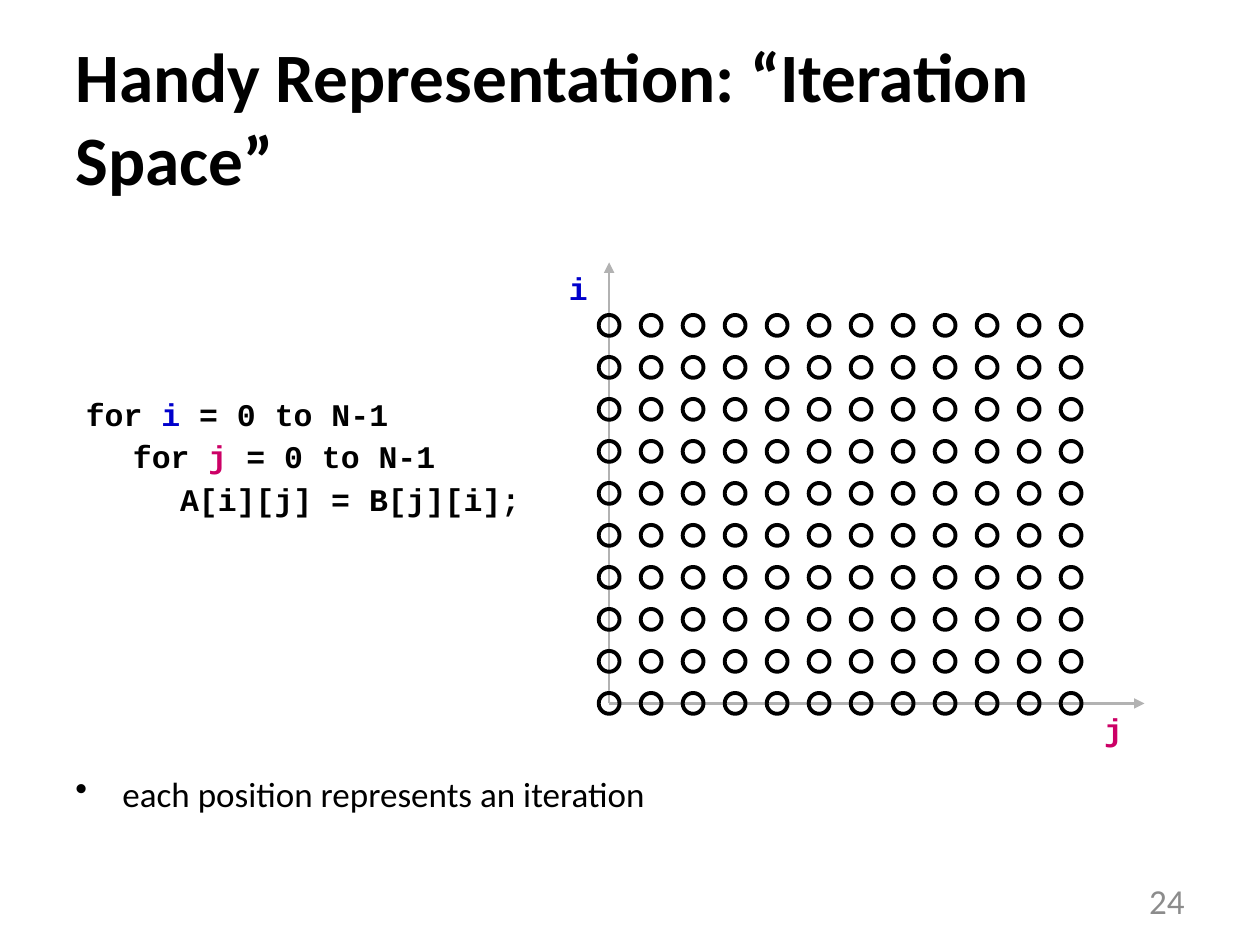
"""Build a slide that explains the iteration space of a nested loop."""
from lxml import etree
from pptx import Presentation
from pptx import util as u
from pptx.dml.color import RGBColor
from pptx.enum import shapes, text
from pptx.oxml import ns

COLORS = {"ink": "000000", "axis": "B2B2B2", "i": "0000CC", "j": "CC0066", "number": "8C8C8C"}
STEP = 2.54 / 3
ORIGIN_X, ORIGIN_Y = 12.28, 14.18
COLUMNS, ROWS = 12, 10
DIAMETER = 0.42


def rgb(name):
    """Return the named colour."""
    return RGBColor.from_string(COLORS[name])


def add_element(parent, tag, **attributes):
    """Append a DrawingML element and return it."""
    return etree.SubElement(parent, ns.qn(tag), attributes)


def style_span(span, size, color="ink", font="Calibri", bold=False):
    """Set the font of one run."""
    span.font.name, span.font.size, span.font.bold = font, u.Pt(size), bold
    span.font.color.rgb = rgb(color)


def add_box(parent, left, top, width, height, anchor=text.MSO_ANCHOR.TOP):
    """Add a wrapping text box."""
    box = parent.add_textbox(u.Cm(left), u.Cm(top), u.Cm(width), u.Cm(height))
    box.text_frame.word_wrap = True
    box.text_frame.vertical_anchor = anchor
    return box


def add_line_of_text(parent, words, place, size, anchor=text.MSO_ANCHOR.TOP, **style):
    """Add a text box with one paragraph and return that paragraph."""
    para = add_box(parent, *place, anchor).text_frame.paragraphs[0]
    para.text = words
    style_span(para.runs[0], size, **style)
    return para


def set_space_before(para, percent):
    """Set the space before a paragraph as a percentage and return its properties."""
    properties = para._p.get_or_add_pPr()
    spacing = add_element(properties, "a:spcBef")
    add_element(spacing, "a:spcPct", val=str(percent * 1000))
    return properties


def add_bullet(para):
    """Turn a paragraph into a bulleted one."""
    properties = set_space_before(para, 20)
    properties.set("marL", str(u.Cm(0.95)))
    properties.set("indent", str(u.Cm(-0.95)))
    add_element(properties, "a:buChar", char="•")


def add_code(parent, lines, place):
    """Add lines of code, each a list of (words, colour) pairs."""
    frame = add_box(parent, *place).text_frame
    frame.auto_size = text.MSO_AUTO_SIZE.SHAPE_TO_FIT_TEXT
    frame.text = "\n".join("" for _ in lines)
    for para, spans in zip(frame.paragraphs, lines):
        para.line_spacing = 0.7
        tabs = add_element(set_space_before(para, 50), "a:tabLst")
        for position in (0.95, 1.9):
            add_element(tabs, "a:tab", pos=str(u.Cm(position)), algn="l")
        for words, color in spans:
            span = para.add_run()
            span.text = words
            style_span(span, 18, color, "Courier New", True)


def add_axis(parent, end_x, end_y):
    """Add an arrow from the origin."""
    axis = parent.add_connector(shapes.MSO_CONNECTOR.STRAIGHT, u.Cm(ORIGIN_X), u.Cm(ORIGIN_Y),
                                u.Cm(end_x), u.Cm(end_y))
    axis.line.color.rgb = rgb("axis")
    axis.line.width = u.Pt(1.5)
    properties = axis._element.spPr
    add_element(properties.find(ns.qn("a:ln")), "a:tailEnd", type="triangle")
    add_element(properties, "a:effectLst")


def add_iteration(parent, column, row):
    """Add the circle of one iteration."""
    circle = parent.add_shape(shapes.MSO_SHAPE.OVAL,
                              u.Cm(ORIGIN_X + column * STEP - DIAMETER / 2),
                              u.Cm(ORIGIN_Y - row * STEP - DIAMETER / 2),
                              u.Cm(DIAMETER), u.Cm(DIAMETER))
    circle.shadow.inherit = False
    circle.fill.background()
    circle.line.color.rgb = rgb("ink")
    circle.line.width = u.Pt(2.25)


def add_iteration_space(page):
    """Add the axes, their labels and the grid of iterations as a group."""
    space = page.shapes.add_group_shape().shapes
    add_axis(space, ORIGIN_X, 5.29)
    add_axis(space, 23.07, ORIGIN_Y)
    add_code(space, [[("i", "i")]], (11.22, 5.5, 0.85, 0.79))
    add_code(space, [[("j", "j")]], (22.01, 14.39, 0.85, 0.79))
    for row in range(ROWS):
        for column in range(COLUMNS):
            add_iteration(space, column, row)


def main():
    """Build and save the slide."""
    deck = Presentation()
    deck.slide_width, deck.slide_height = u.Cm(25.4), u.Cm(19.05)
    page = deck.slides.add_slide(deck.slide_layouts[6])
    middle = text.MSO_ANCHOR.MIDDLE
    add_line_of_text(page.shapes, "Handy Representation: “Iteration Space”",
                     (1.27, 0.76, 22.86, 3.18), 39.6, middle, bold=True)
    add_bullet(add_line_of_text(page.shapes, "each position represents an iteration",
                                (1.27, 15.44, 22.7, 1.8), 20))
    add_code(page.shapes, [
        [("for ", "ink"), ("i", "i"), (" = 0 to N-1", "ink")],
        [("\tfor ", "ink"), ("j", "j"), (" = 0 to N-1", "ink")],
        [("\t\tA[i][j] = B[j][i];", "ink")],
    ], (1.48, 8.05, 9.4, 2.62))
    add_iteration_space(page)
    number = add_line_of_text(page.shapes, "24", (18.21, 17.65, 5.92, 1.02), 20, middle,
                              color="number")
    number.alignment = text.PP_ALIGN.RIGHT
    deck.save("out.pptx")


if __name__ == "__main__":
    main()
